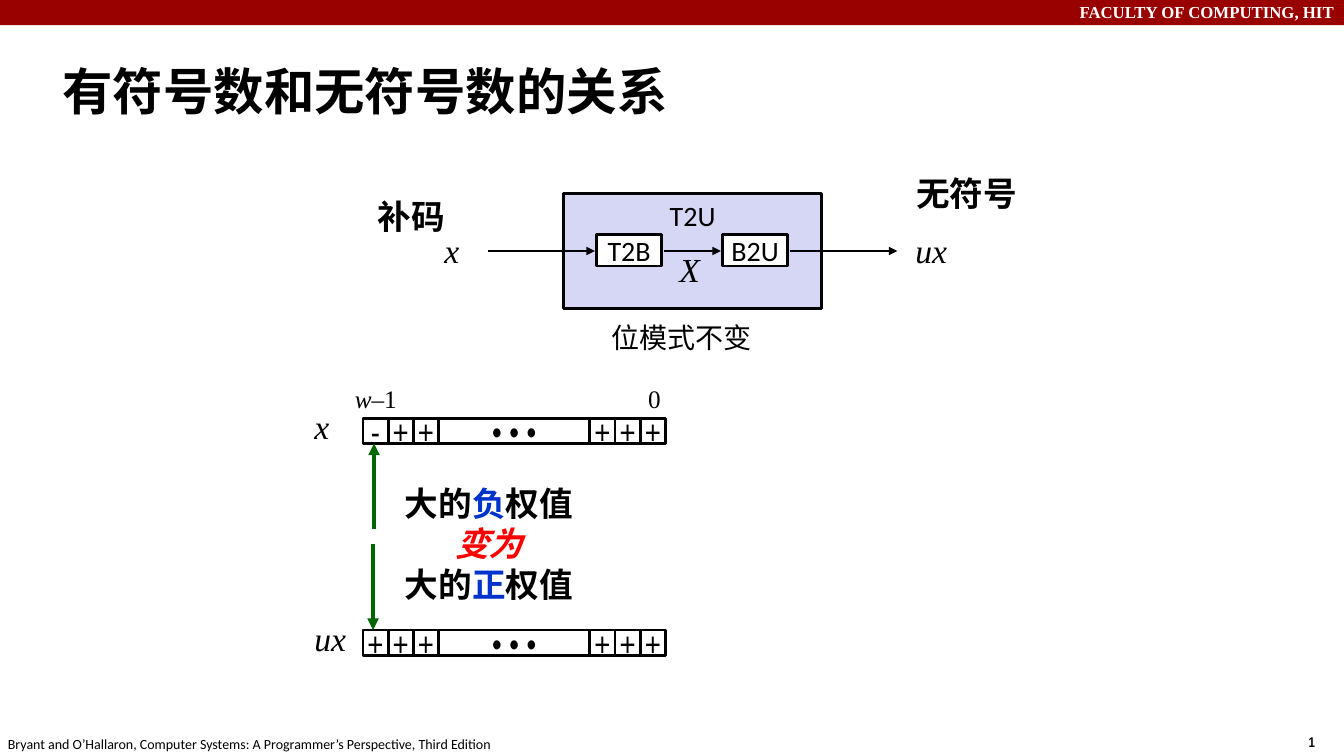
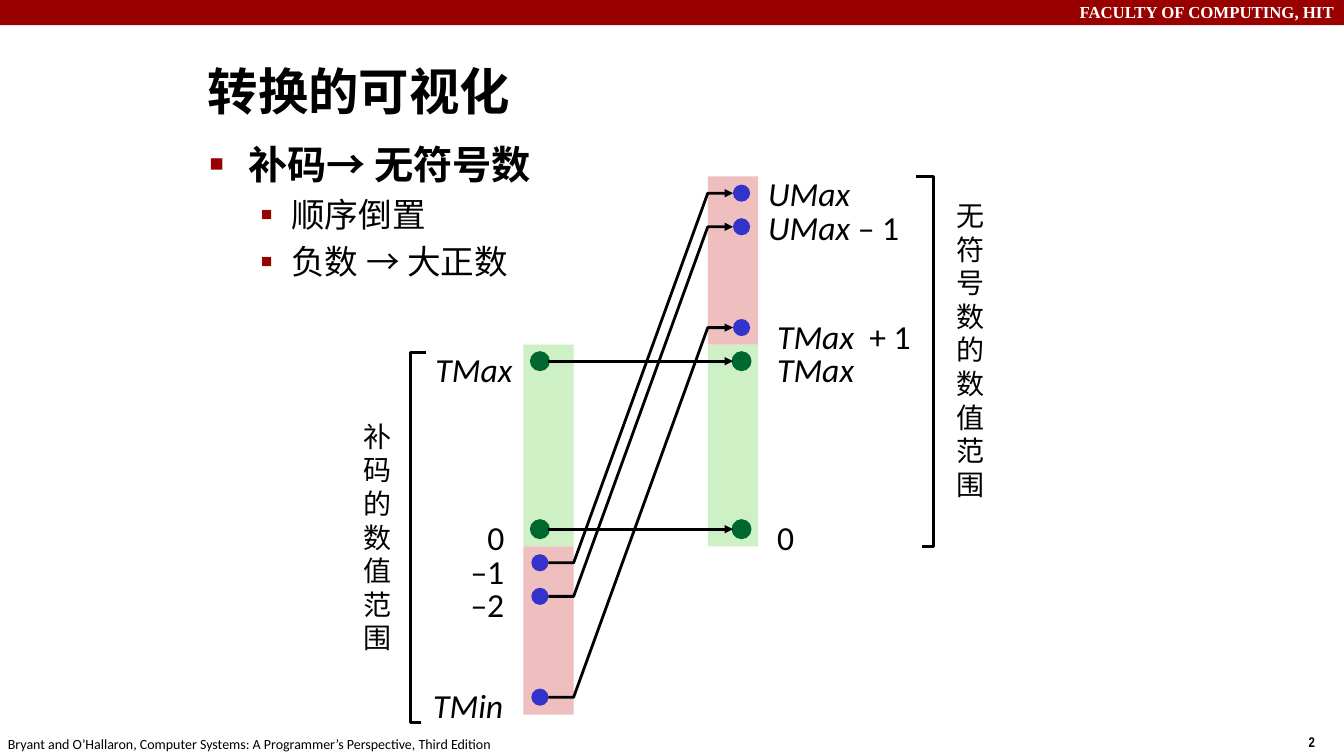
"""Build two slides on how signed and unsigned integers relate."""
from dataclasses import dataclass
from itertools import accumulate

from lxml.etree import SubElement
from pptx import Presentation
from pptx.dml.color import RGBColor
from pptx.enum.shapes import MSO_CONNECTOR as Link, MSO_SHAPE as Preset
from pptx.enum.text import MSO_ANCHOR as Anchor, MSO_AUTO_SIZE as Fit, PP_ALIGN as Align
from pptx.oxml.ns import qn
from pptx.util import Inches, Pt


@dataclass(frozen=True)
class Theme:
    black: str = "000000"
    white: str = "FFFFFF"
    band: str = "990000"
    red: str = "FF0000"
    blue: str = "0033CC"
    arrow_green: str = "006600"
    lavender: str = "D6D6F5"
    range_green: str = "CDF1C5"
    range_pink: str = "EFBFBF"
    dot_green: str = "00682F"
    dot_blue: str = "3333CC"
    sans: str = "Calibri"
    serif: str = "Times New Roman"
    narrow: str = "Arial Narrow"
    title: int = 36
    lead: int = 28
    large: int = 24
    medium: int = 20
    index: int = 18
    header: int = 12
    footer: int = 10


theme = Theme()


def write(shape, *lines, align=Align.LEFT, anchor=Anchor.TOP, wrap=False, fit=Fit.SHAPE_TO_FIT_TEXT,
          **base):
    frame = shape.text_frame
    frame.auto_size, frame.word_wrap, frame.vertical_anchor = fit, wrap, anchor
    for index, line in enumerate(lines):
        paragraph = frame.add_paragraph() if index else frame.paragraphs[0]
        paragraph.alignment = align
        for text, changes in [(line, {})] if isinstance(line, str) else line:
            style = {"size": theme.large, "font": theme.sans, "color": theme.black,
                     "bold": False, "italic": False} | base | changes
            run = paragraph.add_run()
            run.text = text
            run.font.name, run.font.size = style["font"], Pt(style["size"])
            run.font.bold, run.font.italic = style["bold"], style["italic"]
            run.font.color.rgb = RGBColor.from_string(style["color"])
    return shape


def paint(shape, fill=None, line=None, width=2, arrow=False):
    if fill:
        shape.fill.solid()
        shape.fill.fore_color.rgb = RGBColor.from_string(fill)
    elif hasattr(shape, "fill"):
        shape.fill.background()
    if line:
        shape.line.color.rgb = RGBColor.from_string(line)
        shape.line.width = Pt(width)
    else:
        shape.line.fill.background()
    properties = shape.element.spPr
    if arrow:
        SubElement(properties.find(qn("a:ln")), qn("a:tailEnd"), type="triangle")
    SubElement(properties, qn("a:effectLst"))
    return shape


presentation = Presentation()
presentation.slide_width, presentation.slide_height = Inches(13.33), Inches(7.5)
relation = presentation.slides.add_slide(presentation.slide_layouts[5])
mapping = presentation.slides.add_slide(presentation.slide_layouts[1])

shapes = relation.shapes
band = paint(shapes.add_shape(Preset.RECTANGLE, 0, 0, Inches(13.33), Inches(0.25)), theme.band)
header = write(shapes.add_textbox(0, Inches(-0.03), Inches(13.33), Inches(0.3)),
               "FACULTY OF COMPUTING, HIT", align=Align.RIGHT, wrap=True, font=theme.serif,
               size=theme.header, color=theme.white, bold=True)
number = write(shapes.add_textbox(Inches(12.88), Inches(7.23), Inches(0.34), Inches(0.27)),
               "‹#›", font=theme.narrow, size=theme.footer, bold=True)
credit = write(shapes.add_textbox(Inches(-0.02), Inches(7.25), Inches(5.08), Inches(0.27)),
               "Bryant and O’Hallaron, Computer Systems: A Programmer’s Perspective, Third Edition",
               size=theme.footer)
field = number.element.find(".//" + qn("a:r"))
field.tag = qn("a:fld")
field.set("id", "{B6F15528-21DE-4FAA-801E-634DDDAF4B2B}")
field.set("type", "slidenum")
master_tree = presentation.slide_master.element.cSld.spTree
for shape_id, shape in enumerate((band, header, number, credit), 100):
    shape.element.nvSpPr.cNvPr.id = shape_id
    master_tree.append(shape.element)

for slide, text, at in (
    (relation, "有符号数和无符号数的关系", (0.52, 0.48, 12.81, 0.83)),
    (mapping, "转换的可视化", (1.96, 0.58, 8.69, 0.63)),
):
    title = slide.shapes.title
    title.left, title.top, title.width, title.height = map(Inches, at)
    write(title, text, anchor=Anchor.MIDDLE, wrap=True, fit=Fit.NONE, size=theme.title, bold=True)

cell = 0.25
widths = [cell] * 3 + [6 * cell] + [cell] * 3
for top, sign in ((6.25, "+"), (4.15, "-")):
    marks = [sign, "+", "+", "•\u00a0•\u00a0•", "+", "+", "+"]
    for left, width, mark in zip(accumulate(widths, initial=3.6), widths, marks):
        box = shapes.add_shape(Preset.RECTANGLE, *map(Inches, (left, top, width, cell)))
        write(paint(box, theme.white, theme.black), mark, align=Align.CENTER,
              anchor=Anchor.MIDDLE, fit=Fit.NONE, font=theme.narrow)

for at, text, fill, anchor in (
    ((5.59, 1.92, 2.56, 1.14), "T2U", theme.lavender, Anchor.TOP),
    ((5.92, 2.33, 0.64, 0.31), "T2B", theme.white, Anchor.MIDDLE),
    ((7.17, 2.33, 0.64, 0.31), "B2U", theme.white, Anchor.MIDDLE),
):
    box = shapes.add_shape(Preset.RECTANGLE, *map(Inches, at))
    write(paint(box, fill, theme.black), text, align=Align.CENTER, anchor=anchor,
          fit=Fit.NONE, size=theme.medium)

for ends, color, width in (
    ((4.84, 2.49, 5.9, 2.49), theme.black, 2),
    ((6.59, 2.49, 7.15, 2.49), theme.black, 2),
    ((7.84, 2.49, 8.9, 2.49), theme.black, 2),
    ((3.71, 5.25, 3.71, 4.4), theme.arrow_green, 2.75),
    ((3.7, 5.4, 3.7, 6.25), theme.arrow_green, 2.75),
):
    arrow = shapes.add_connector(Link.STRAIGHT, *map(Inches, ends))
    paint(arrow, line=color, width=width, arrow=True)

variable = {"font": theme.serif, "italic": True}
index_label = {"font": theme.serif, "size": theme.index}
for at, line, style in (
    ((3.02, 6.08, 0.52, 0.5), "ux", variable),
    ((3.02, 3.98, 0.35, 0.5), "x", variable),
    ((4.31, 2.23, 0.35, 0.5), "x", variable),
    ((8.98, 2.23, 0.52, 0.5), "ux", variable),
    ((6.64, 2.42, 0.4, 0.5), "X", variable),
    ((3.42, 3.75, 0.62, 0.4), [("w", {"italic": True}), ("–1", {})], index_label),
    ((6.33, 3.75, 0.33, 0.4), "0", index_label),
    ((3.65, 1.89, 0.87, 0.5), "补码", {"bold": True}),
    ((8.99, 1.67, 1.21, 0.5), "无符号", {"bold": True}),
    ((5.96, 3.13, 1.6, 0.43), "位模式不变", {"size": theme.medium, "align": Align.CENTER}),
):
    write(shapes.add_textbox(*map(Inches, at)), line, **style)

weights = shapes.add_textbox(Inches(3.85), Inches(4.74), Inches(2), Inches(1.31))
weights.text_frame.margin_left = weights.text_frame.margin_right = Inches(0.05)
write(weights,
      [("大的", {}), ("负", {"color": theme.blue}), ("权值", {})],
      [("变为", {"color": theme.red, "italic": True})],
      [("大的", {}), ("正", {"color": theme.blue}), ("权值", {})],
      align=Align.CENTER, wrap=True, bold=True)

shapes = mapping.shapes
zero_y, step, dot = 5.25, 1 / 3, 0.17
left_x, right_x, bar = 5.19, 7.02, 0.5
for left, top, height, fill in (
    (right_x, 3.42, 2, theme.range_green),
    (left_x, 3.42, 2, theme.range_green),
    (left_x, 5.42, 1.67, theme.range_pink),
    (right_x, 1.75, 1.67, theme.range_pink),
):
    paint(shapes.add_shape(Preset.RECTANGLE, *map(Inches, (left, top, bar, height))), fill)

for value in (5, 0, -1, -2, -5):
    target = value if value >= 0 else value + 11
    start_y, end_y = zero_y - value * step, zero_y - target * step
    color = theme.dot_green if value >= 0 else theme.dot_blue
    outline = theme.dot_green if value >= 0 else None
    for left, middle in ((5.27, start_y), (7.27, end_y)):
        at = (left, middle - dot / 2, dot, dot)
        paint(shapes.add_shape(Preset.OVAL, *map(Inches, at)), color, outline)
    if value >= 0:
        arrow = shapes.add_connector(Link.STRAIGHT, *map(Inches, (5.44, start_y, 7.27, end_y)))
    else:
        route = [(5.44, start_y), (left_x + bar, start_y), (right_x, end_y), (7.27, end_y)]
        corners = [(Inches(x), Inches(y)) for x, y in route]
        builder = shapes.build_freeform(*corners[0])
        arrow = builder.add_line_segments(corners[1:], close=False).convert_to_shape()
    paint(arrow, line=theme.black, arrow=True)

for route in (
    [(4.18, 7.17), (4.07, 7.17), (4.07, 3.5), (4.23, 3.5)],
    [(9.14, 5.42), (9.26, 5.42), (9.26, 1.75), (9.09, 1.75)],
):
    corners = [(Inches(x), Inches(y)) for x, y in route]
    builder = shapes.build_freeform(*corners[0])
    paint(builder.add_line_segments(corners[1:], close=False).convert_to_shape(), line=theme.black)

slanted = {"italic": True}
for value, left, width, rise, align, line in (
    (5, 4.21, 0.97, 0.17, Align.RIGHT, [("TMax", slanted)]),
    (0, 4.27, 0.83, 0.17, Align.RIGHT, "0"),
    (-1, 4.27, 0.83, 0.17, Align.RIGHT, "–1"),
    (-2, 4.27, 0.83, 0.17, Align.RIGHT, "–2"),
    (-5, 4.19, 0.9, 0.17, Align.RIGHT, [("TMin", slanted)]),
    (10, 7.52, 1.25, 0.25, Align.LEFT, [("UMax", slanted)]),
    (9, 7.52, 1.58, 0.25, Align.LEFT, [("UMax", slanted), (" – 1", {})]),
    (6, 7.61, 1.54, 0.17, Align.LEFT, [("TMax  ", slanted), ("+ 1", {})]),
    (5, 7.61, 0.97, 0.17, Align.LEFT, [("TMax", slanted)]),
    (0, 7.61, 0.83, 0.17, Align.LEFT, "0"),
):
    at = (left, zero_y - value * step - rise, width, 0.51)
    write(shapes.add_textbox(*map(Inches, at)), line, align=align, wrap=True)

for at, text, align in (
    ((3.5, 4.11, 0.48, 2.46), "补码的数值范围", Align.RIGHT),
    ((9.39, 1.92, 0.69, 3.13), "无符号数的数值范围", Align.LEFT),
):
    write(shapes.add_textbox(*map(Inches, at)), text, align=align, wrap=True, size=theme.medium)

body = mapping.placeholders[1]
body.left, body.top, body.width, body.height = map(Inches, (1.98, 1.34, 4.55, 1.88))
write(body, [("补码→ 无符号数", {"size": theme.lead, "bold": True})], "顺序倒置", "负数 → 大正数",
      wrap=True, fit=Fit.NONE)
for level, paragraph in zip((0, 1, 1), body.element.iter(qn("a:p"))):
    margin, hanging, mark, percent = ((0.38, 0.38, "■", 60), (0.81, 0.31, "▪", 110))[level]
    properties = paragraph.get_or_add_pPr()
    properties.set("lvl", str(level))
    properties.set("marL", str(Inches(margin)))
    properties.set("indent", str(-Inches(hanging)))
    SubElement(SubElement(properties, qn("a:buClr")), qn("a:srgbClr"), val=theme.band)
    SubElement(properties, qn("a:buSzPct"), val=str(percent * 1000))
    SubElement(properties, qn("a:buChar"), char=mark)

presentation.save("out.pptx")
